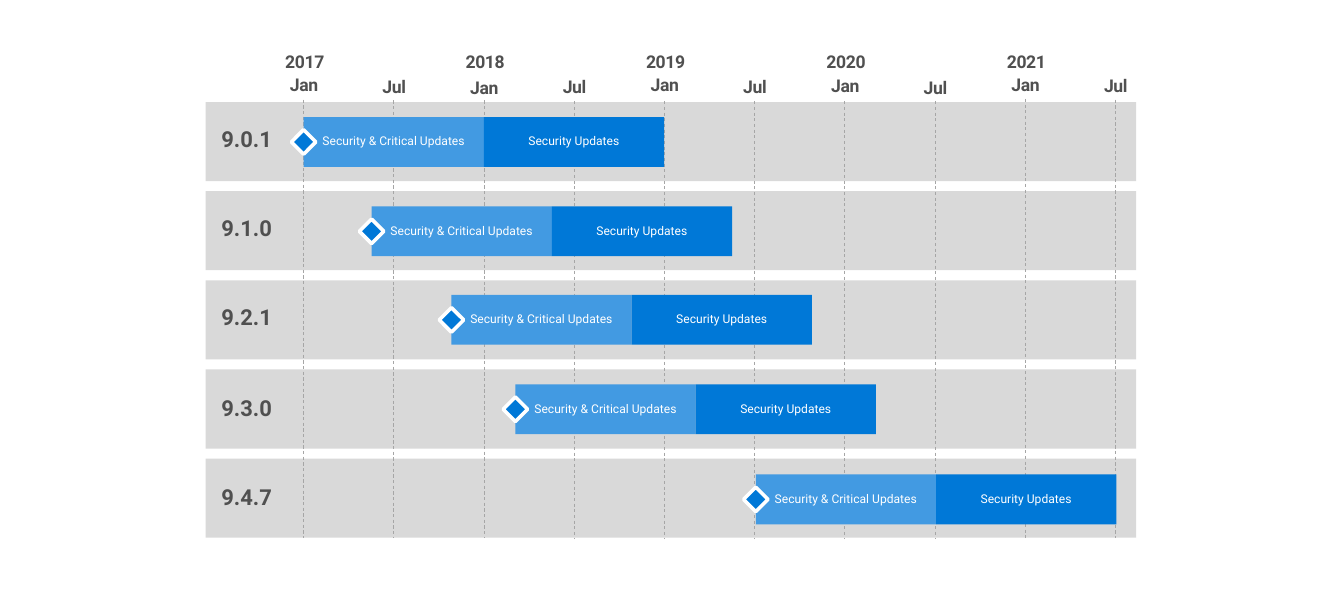
from lxml import etree
from pptx import Presentation
from pptx import util as u
from pptx.dml.color import RGBColor
from pptx.enum import dml, shapes, text
from pptx.oxml.ns import qn

YEARS = ["2017", "2018", "2019", "2020", "2021"]
MONTHS = [
    ("Jan", 0.85, 1.26), ("Jul", 0.87, 1.27), ("Jan", 0.88, 1.27), ("Jul", 0.87, 1.28),
    ("Jan", 0.85, 1.28), ("Jul", 0.87, 1.28), ("Jan", 0.86, 1.28), ("Jul", 0.88, 1.28),
    ("Jan", 0.84, 1.25), ("Jul", 0.86, 1.26),
]
RELEASES = [
    ("9.0.1", 1.48, 3.84, 1.48),
    ("9.1.0", 2.6, 4.7, 2.61),
    ("9.2.1", 3.73, 5.71, 3.73),
    ("9.3.0", 4.87, 6.52, 4.86),
    ("9.4.7", 6, 9.56, 6),
]
PHASES = [("Security & Critical Updates", "429AE2"), ("Security Updates", "0078D7")]

AXIS_LEFT, HALF_YEAR = 3.84, 1.141
BAND_LEFT, BAND_TOP, BAND_STEP = 2.6, 1.29, 1.1275
BAR_WIDTH, BAR_HEIGHT, MARKER = 2.28, 0.63, 0.31

HEADING = {
    "font": {"size": u.Pt(16), "bold": True}, "color": "505050", "inset": (0.16, 0.12),
    "para": {"alignment": text.PP_ALIGN.CENTER, "line_spacing": 0.9, "space_before": u.Pt(6.2)},
    "frame": {"auto_size": text.MSO_AUTO_SIZE.SHAPE_TO_FIT_TEXT}, "tracking": "-30",
}
VERSION = {
    "font": {"size": u.Pt(20), "bold": True}, "color": "505050", "inset": (0.2, 0.16),
    "para": {"line_spacing": 0.9, "space_after": u.Pt(6)},
    "frame": {"auto_size": text.MSO_AUTO_SIZE.SHAPE_TO_FIT_TEXT},
}
PHASE = {
    "font": {"size": u.Pt(11), "bold": False}, "color": "FFFFFF", "inset": (0.2, 0.16),
    "para": {"alignment": text.PP_ALIGN.CENTER, "line_spacing": 0.9},
    "frame": {"vertical_anchor": text.MSO_ANCHOR.MIDDLE},
}


def paint(target, color):
    if hasattr(target, "solid"):
        target.solid()
        target = target.fore_color
    target.rgb = RGBColor.from_string(color)


def assign(target, values):
    for name, value in values.items():
        setattr(target, name, value)


def write(box, words, style):
    frame = box.text_frame
    across, down = map(u.Inches, style["inset"])
    assign(frame, {"word_wrap": True, "margin_left": across, "margin_right": across,
                   "margin_top": down, "margin_bottom": down, **style["frame"]})
    para = frame.paragraphs[0]
    assign(para, style["para"])
    span = para.add_run()
    span.text = words
    assign(span.font, {"name": "Roboto", **style["font"]})
    paint(span.font.color, style["color"])
    if "tracking" in style:
        span.font._element.set("spc", style["tracking"])


def add_label(page, place, words, style):
    write(page.shapes.add_textbox(*map(u.Inches, place)), words, style)


def add_block(parent, kind, place, color):
    block = parent.shapes.add_shape(kind, *map(u.Inches, place))
    block.shadow.inherit = False
    paint(block.fill, color)
    block.line.fill.background()
    return block


def add_gridline(page, left, top):
    line = page.shapes.add_connector(
        shapes.MSO_CONNECTOR.STRAIGHT, *map(u.Inches, (left, top, left, 6.8)))
    assign(line.line, {"width": u.Pt(0.75), "dash_style": dml.MSO_LINE.DASH})
    paint(line.line.color, "A6A6A6")
    etree.SubElement(line._element.spPr, qn("a:effectLst"))


def add_release(page, left, top):
    group = page.shapes.add_group_shape()
    for index, (words, color) in enumerate(PHASES):
        place = (left + index * BAR_WIDTH, top, BAR_WIDTH, BAR_HEIGHT)
        bar = add_block(group, shapes.MSO_SHAPE.RECTANGLE, place, color)
        write(bar, words, PHASE)
    place = (left - MARKER / 2, top + (BAR_HEIGHT - MARKER) / 2, MARKER, MARKER)
    marker = add_block(group, shapes.MSO_SHAPE.DIAMOND, place, "0078D7")
    paint(marker.line.fill, "FFFFFF")
    marker.line.width = u.Pt(3.25)


def main():
    """Build the release support timeline slide."""
    deck = Presentation()
    assign(deck, {"slide_width": u.Inches(17), "slide_height": u.Inches(7.65)})
    page = deck.slides.add_slide(deck.slide_layouts[6])
    for row in range(len(RELEASES)):
        place = (BAND_LEFT, BAND_TOP + row * BAND_STEP, 11.77, 1)
        add_block(page, shapes.MSO_SHAPE.RECTANGLE, place, "D9D9D9")
    for index, (month, label_top, line_top) in enumerate(MONTHS):
        left = AXIS_LEFT + index * HALF_YEAR
        add_label(page, (left - 0.72, label_top, 1.45, 0.49), month, HEADING)
        add_gridline(page, left, line_top)
    for index, year in enumerate(YEARS):
        left = AXIS_LEFT + 2 * index * HALF_YEAR
        add_label(page, (left - 0.71, 0.55, 1.45, 0.49), year, HEADING)
    for version, label_top, start, bar_top in RELEASES:
        add_label(page, (BAND_LEFT, label_top, 1.58, 0.63), version, VERSION)
        add_release(page, start, bar_top)
    deck.save("out.pptx")


if __name__ == "__main__":
    main()
